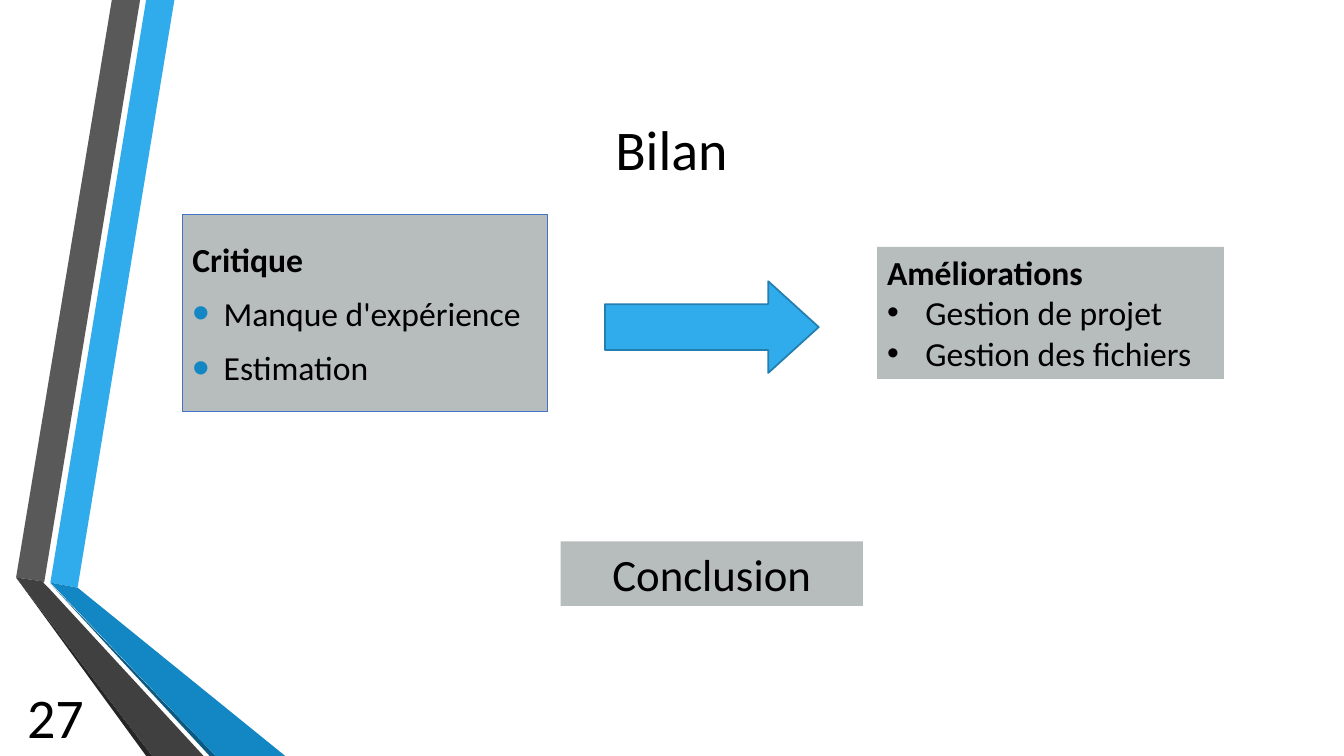
from lxml import etree
from pptx import Presentation
from pptx.dml.color import RGBColor
from pptx.enum import shapes, text
from pptx.oxml import ns
from pptx.util import Emu, Pt

PX = 9144
COLOURS = {
    "sky": "30ACEC", "blue": "1287C3", "navy": "0C5A82",
    "grey": "595959", "charcoal": "404040", "soot": "262626",
    "panel": "B7BCBD", "border": "4472C4", "arrow_edge": "247FAF",
    "ink": "000000",
}
RIBBONS = [
    ("sky", [(50, 578), (77, 583), (173, 0), (145, 0)]),
    ("grey", [(139, 0), (111, 0), (16, 573), (44, 577)]),
    ("soot", [(16, 573), (145, 750), (151, 750)]),
    ("navy", [(50, 579), (208, 750), (214, 750)]),
    ("blue", [(50, 578), (214, 750), (283, 750), (77, 583)]),
    ("charcoal", [(202, 750), (48, 583), (43, 578), (44, 577), (16, 573), (151, 750)]),
]


def px(*lengths):
    return [Emu(length * PX) for length in lengths]


def rgb(name):
    return RGBColor.from_string(COLOURS[name])


def apply(target, values):
    for name, value in values.items():
        setattr(target, name, value)


def paint(shape, fill, line=None, width=0):
    shape.shadow.inherit = False
    shape.fill.solid()
    shape.fill.fore_color.rgb = rgb(fill)
    if line:
        shape.line.color.rgb = rgb(line)
        shape.line.width = Pt(width)
    else:
        shape.line.fill.background()


def add_ribbon(page, fill, points):
    builder = page.shapes.build_freeform(*points[0], scale=PX)
    builder.add_line_segments(points[1:], close=True)
    paint(builder.convert_to_shape(), fill)


def add_bullet(para, indent, colour=None, size=None):
    properties = para._p.get_or_add_pPr()
    properties.set("marL", str(indent * PX))
    properties.set("indent", str(-indent * PX))
    if colour:
        holder = etree.SubElement(properties, ns.qn("a:buClr"))
        etree.SubElement(holder, ns.qn("a:srgbClr"), val=COLOURS[colour])
    if size:
        etree.SubElement(properties, ns.qn("a:buSzPct"), val=str(size * 1000))
    etree.SubElement(properties, ns.qn("a:buFont"), typeface="Arial")
    etree.SubElement(properties, ns.qn("a:buChar"), char="•")


def write(para, words, size, bold=False, values=None):
    apply(para, {"alignment": text.PP_ALIGN.LEFT, **(values or {})})
    span = para.add_run()
    span.text = words
    apply(span.font, {"name": "Calibri", "size": Pt(size), "bold": bold})
    span.font.color.rgb = rgb("ink")


def set_frame(box, anchor, grow):
    fit = text.MSO_AUTO_SIZE.SHAPE_TO_FIT_TEXT if grow else text.MSO_AUTO_SIZE.NONE
    apply(box.text_frame, {"word_wrap": True, "vertical_anchor": anchor, "auto_size": fit})


def add_label(page, place, words, size, align, anchor=text.MSO_ANCHOR.TOP, fill=None, grow=True):
    box = page.shapes.add_textbox(*px(*place))
    if fill:
        paint(box, fill)
    set_frame(box, anchor, grow)
    write(box.text_frame.paragraphs[0], words, size, values={"alignment": align})


def add_panel(page, place, heading, items, bullet, border=None, spacing=None,
              anchor=text.MSO_ANCHOR.TOP, grow=False):
    box = page.shapes.add_shape(shapes.MSO_SHAPE.RECTANGLE, *px(*place))
    paint(box, "panel", border, 0.75)
    set_frame(box, anchor, grow)
    write(box.text_frame.paragraphs[0], heading, 24, True, spacing)
    for item in items:
        para = box.text_frame.add_paragraph()
        write(para, item, 24, values=spacing)
        add_bullet(para, **bullet)


def add_arrow(page, place):
    arrow = page.shapes.add_shape(shapes.MSO_SHAPE.RIGHT_ARROW, *px(*place))
    arrow.adjustments[0] = 0.5
    arrow.adjustments[1] = 0.55
    paint(arrow, "sky", "arrow_edge", 1.25)


def main():
    deck = Presentation()
    deck.slide_width, deck.slide_height = px(1333, 750)
    page = deck.slides.add_slide(deck.slide_layouts[6])
    for fill, points in RIBBONS:
        add_ribbon(page, fill, points)
    centre, left = text.PP_ALIGN.CENTER, text.PP_ALIGN.LEFT
    add_label(page, (118, 82, 1096, 130), "Bilan", 40, centre,
              anchor=text.MSO_ANCHOR.MIDDLE, grow=False)
    add_panel(page, (181, 213, 362, 195), "Critique",
              ["Manque d'expérience", "Estimation"],
              {"indent": 31, "colour": "blue", "size": 145}, border="border",
              spacing={"space_before": Pt(4), "space_after": Pt(6)},
              anchor=text.MSO_ANCHOR.MIDDLE)
    add_arrow(page, (600, 279, 212, 91))
    add_panel(page, (870, 245, 344, 131), "Améliorations",
              ["Gestion de projet", "Gestion des fichiers"], {"indent": 38}, grow=True)
    add_label(page, (556, 537, 300, 64), "Conclusion", 32, centre, fill="panel")
    add_label(page, (17, 672, 84, 77), "27", 40, left)
    deck.save("out.pptx")


if __name__ == "__main__":
    main()
